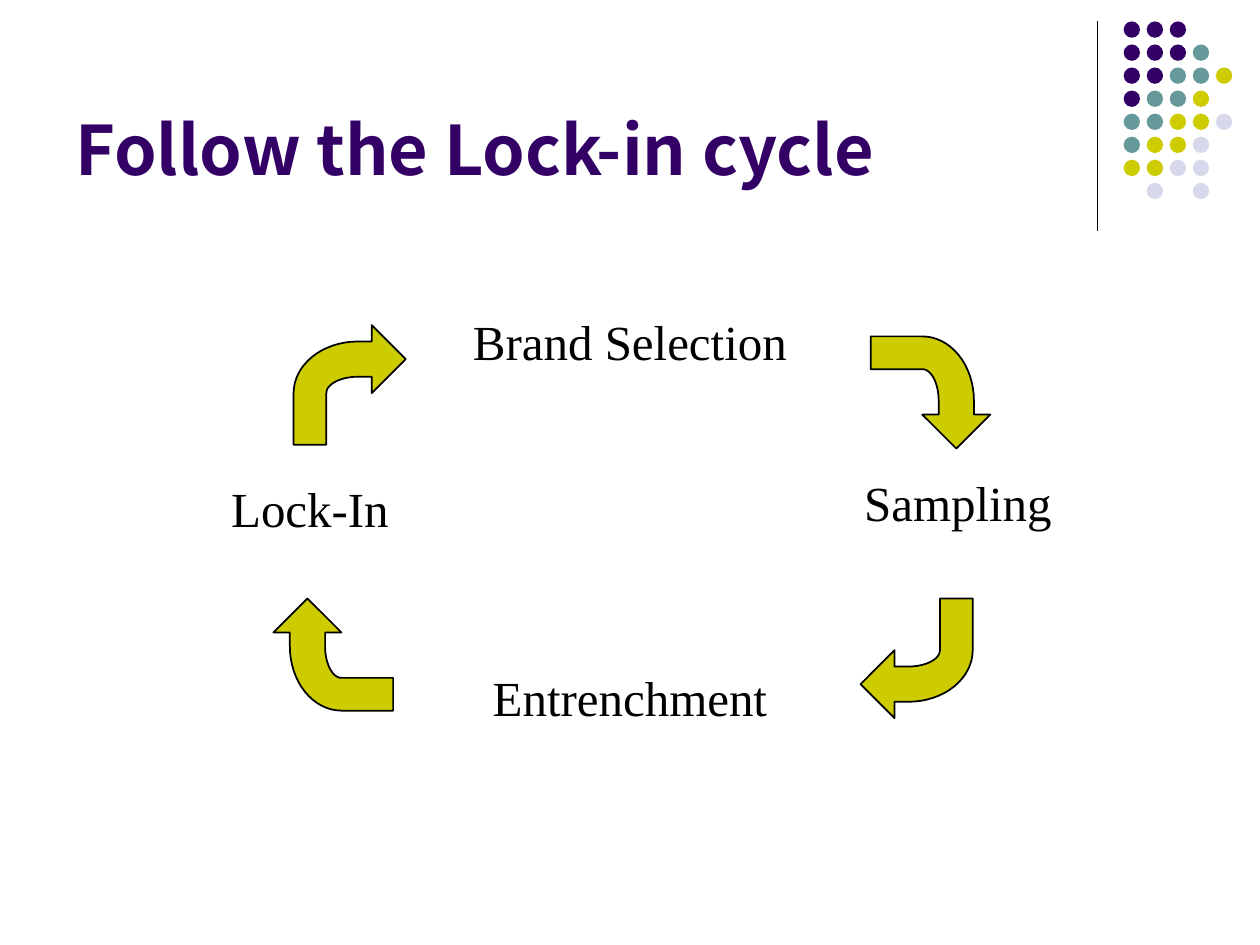
from collections import namedtuple
from math import cos, pi, sin

from lxml.etree import SubElement
from pptx import Presentation
from pptx.dml.color import RGBColor
from pptx.enum.shapes import MSO_CONNECTOR, MSO_SHAPE
from pptx.enum.text import MSO_ANCHOR, MSO_AUTO_SIZE, PP_ALIGN
from pptx.oxml.ns import qn
from pptx.util import Inches, Pt

Box = namedtuple("Box", "x y w h")

COLS, ROWS = 100, 75
CELL = Inches(10) // COLS


class Theme:
    ink = RGBColor.from_string("000000")
    purple = RGBColor.from_string("330066")
    teal = RGBColor.from_string("669999")
    lime = RGBColor.from_string("CCCC00")
    lilac = RGBColor.from_string("D8D8EC")
    title = {"name": "Noto Sans CJK KR", "size": Pt(39), "bold": True}
    label = {"name": "Times New Roman", "size": Pt(28), "bold": False}
    rule = Pt(0.75)
    outline = Pt(1)


DOT_COLORS = {"P": Theme.purple, "T": Theme.teal, "L": Theme.lime, "V": Theme.lilac}
DOT_ROWS = ["PPP", "PPPT", "PPTTL", "PTTL", "TTLLV", "TLLV", "LLVV", " V V"]


def grid(*cells):
    return [round(c * CELL) for c in cells]


def apply(obj, values):
    for name, value in values.items():
        setattr(obj, name, value)


def write(sp, text, font, color, frame, para):
    tf = sp.text_frame
    apply(tf, {"word_wrap": True, **frame})
    p = tf.paragraphs[0]
    apply(p, para)
    r = p.add_run()
    r.text = text
    apply(r.font, font)
    r.font.color.rgb = color


def paint(sp, color):
    sp.shadow.inherit = False
    sp.fill.solid()
    sp.fill.fore_color.rgb = color


def add_title(s, box, text):
    sp = s.shapes.title
    apply(sp, dict(zip(("left", "top", "width", "height"), grid(*box))))
    write(sp, text, Theme.title, Theme.purple,
          {"vertical_anchor": MSO_ANCHOR.BOTTOM, "auto_size": MSO_AUTO_SIZE.NONE},
          {"alignment": PP_ALIGN.LEFT})


def add_ornament(s, box):
    x, top, bottom = grid(box.x, box.y, box.y + box.h)
    line = s.shapes.add_connector(MSO_CONNECTOR.STRAIGHT, x, top, x, bottom)
    line.line.color.rgb = Theme.ink
    line.line.width = Theme.rule
    SubElement(line._element.spPr, qn("a:effectLst"))

    size, pitch = 1.3, 1.83
    left = box.x + box.w - size - 4 * pitch
    dots = s.shapes.add_group_shape().shapes
    for row, keys in enumerate(DOT_ROWS):
        for col, key in enumerate(keys):
            if key in DOT_COLORS:
                place = grid(left + col * pitch, box.y + row * pitch, size, size)
                sp = dots.add_shape(MSO_SHAPE.OVAL, *place)
                paint(sp, DOT_COLORS[key])
                sp.line.fill.background()


def arc(cx, cy, rx, ry, start, end, steps=16):
    angles = [start + (end - start) * i / steps for i in range(steps + 1)]
    return [(cx + rx * cos(a), cy + ry * sin(a)) for a in angles]


def add_arrow(s, box, turn):
    outline = [(0, 6.8), (2.7, 9.5), (2.7, 8.2),
               *arc(3.8, 4.1, 5.1, 4.1, pi / 2, 0),
               (8.9, 0), (6.3, 0),
               *arc(3.8, 4.1, 2.5, 1.3, 0, pi / 2),
               (2.7, 5.4), (2.7, 4.1)]
    points = [grid(x * box.w / 8.9, y * box.h / 9.5) for x, y in outline]
    path = s.shapes.build_freeform(*points[0])
    path.add_line_segments(points[1:], close=True)
    sp = path.convert_to_shape(*grid(box.x, box.y))
    paint(sp, Theme.lime)
    sp.line.color.rgb = Theme.ink
    sp.line.width = Theme.outline
    sp.rotation = turn


def add_label(s, box, text, align):
    sp = s.shapes.add_textbox(*grid(*box))
    write(sp, text, Theme.label, Theme.ink,
          {"auto_size": MSO_AUTO_SIZE.SHAPE_TO_FIT_TEXT},
          {"alignment": align, "space_before": Pt(17.5)})


def add_cycle(s, box):
    labels = [("Brand Selection", 22.5, 0, 30, PP_ALIGN.CENTER),
              ("Sampling", 55.1, 12.8, 24.2, PP_ALIGN.LEFT),
              ("Lock-In", 0, 13.3, 24.2, PP_ALIGN.CENTER),
              ("Entrenchment", 22.5, 28.3, 30, PP_ALIGN.CENTER)]
    for text, x, y, w, align in labels:
        add_label(s, Box(box.x + x, box.y + y, w, 5.7), text, align)

    arrows = [(9.5, 23, 90), (56.9, 2.2, 270), (55.8, 23.3, 0), (10.8, 1.6, 180)]
    for x, y, turn in arrows:
        add_arrow(s, Box(box.x + x, box.y + y, 8.9, 9.5), turn)


def main():
    prs = Presentation()
    apply(prs, {"slide_width": COLS * CELL, "slide_height": ROWS * CELL})
    s = prs.slides.add_slide(prs.slide_layouts[5])
    add_ornament(s, Box(87.1, 1.7, 10.7, 16.6))
    add_title(s, Box(5, 1.3, 82.5, 14.2), "Follow the Lock-in cycle")
    add_cycle(s, Box(12.5, 24.2, 79.3, 34))
    prs.save("out.pptx")


if __name__ == "__main__":
    main()
